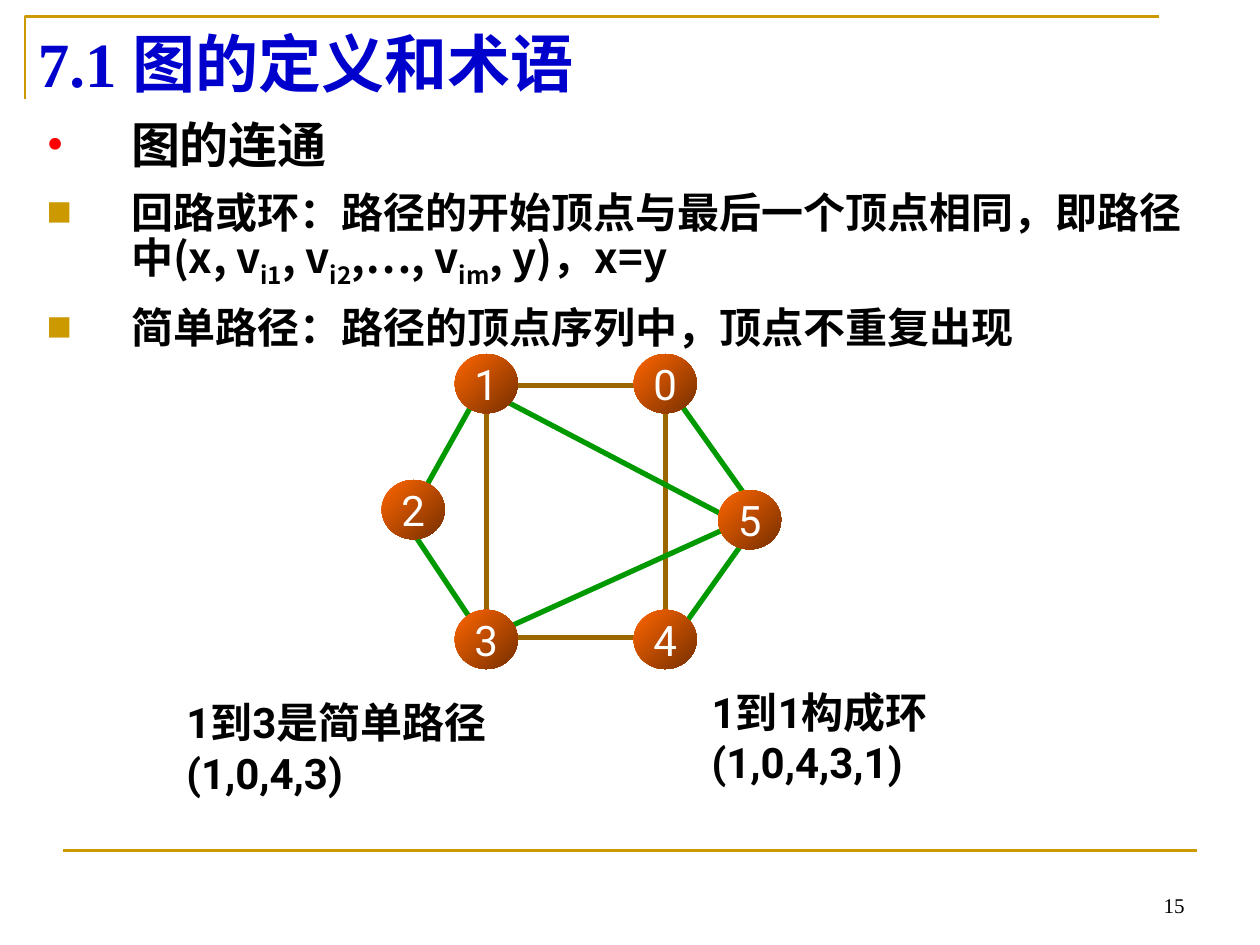
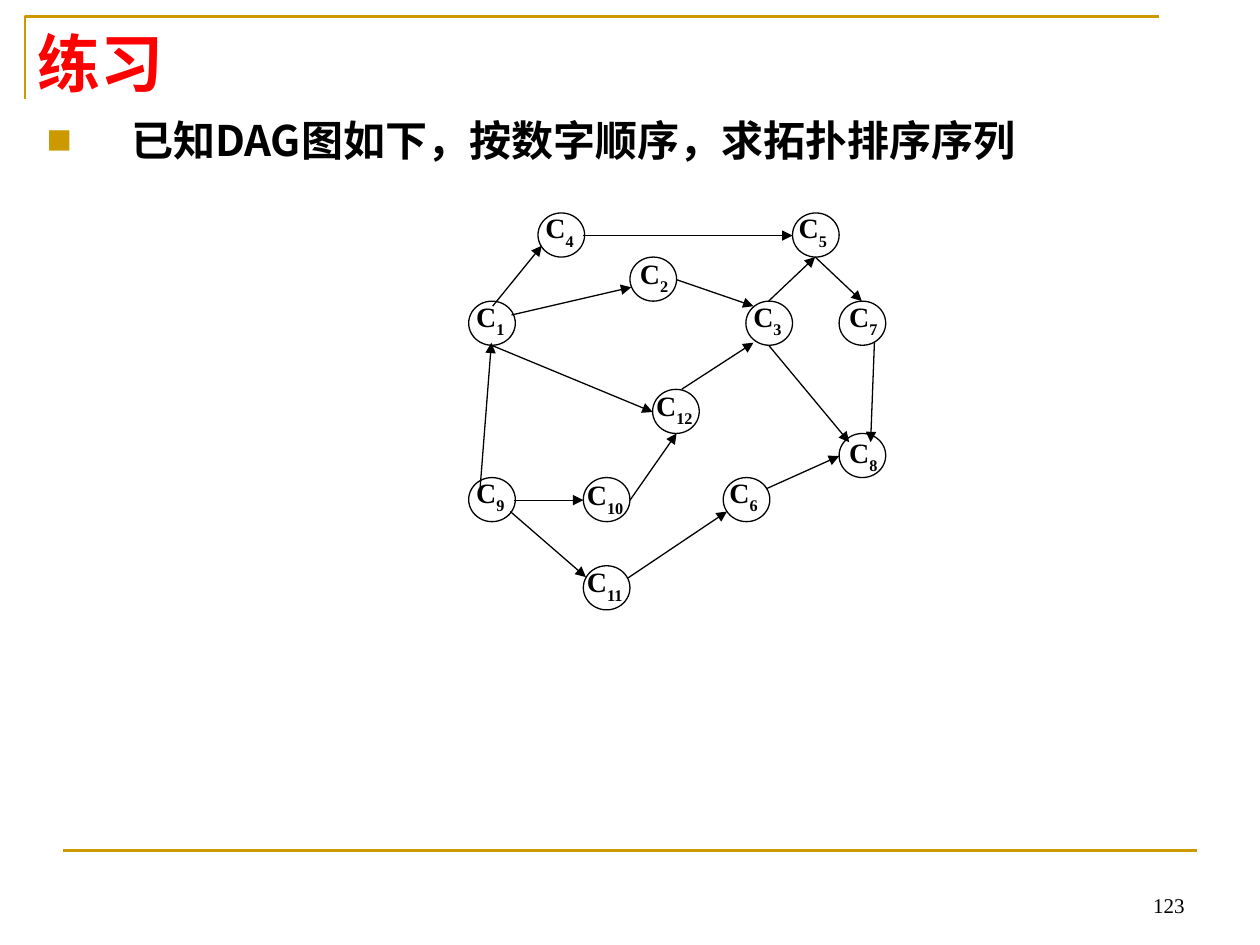
from lxml.etree import SubElement
from pptx import Presentation
from pptx.dml.color import RGBColor
from pptx.enum.shapes import MSO_CONNECTOR, MSO_SHAPE
from pptx.enum.text import MSO_ANCHOR as Anchor, MSO_AUTO_SIZE, PP_ALIGN as Align
from pptx.oxml.ns import qn
from pptx.util import Inches, Pt

GOLD = RGBColor(0xCC, 0x99, 0x00)
BLUE = RGBColor(0x00, 0x00, 0xCC)
RED = RGBColor(0xFF, 0x00, 0x00)
BLACK = RGBColor(0x00, 0x00, 0x00)
WHITE = RGBColor(0xFF, 0xFF, 0xFF)
BROWN = RGBColor(0x99, 0x66, 0x00)
GREEN = RGBColor(0x00, 0x99, 0x00)
ORANGE = RGBColor(0xFF, 0x66, 0x00)
RUST = RGBColor(0x76, 0x2F, 0x00)

SERIF, SANS, CHINESE = "Times New Roman", "Roboto", "Noto Sans CJK SC"
LINE_HEIGHT = 1.25  # times the font size
CAPTION_LINE_HEIGHT = 1.2
HANGING = Inches(0.67)

# A paragraph is a list of pieces; every second piece is a subscript.
# Bullet, bullet colour, size, pieces
CONNECTIVITY = [
    ("•", RED, 28, ["图的连通"]),
    ("■", GOLD, 24, ["回路或环：路径的开始顶点与最后一个顶点相同，即路径中(x, v", "i1",
                     ", v", "i2", ",…, v", "im", ", y)，x=y"]),
    ("■", GOLD, 24, ["简单路径：路径的顶点序列中，顶点不重复出现"]),
]
EXERCISE = [("■", GOLD, 24, ["已知DAG图如下，按数字顺序，求拓扑排序序列"])]

VERTEX_SIZE = (0.5, 0.47)
VERTICES = {"1": (3.61, 2.81), "3": (3.61, 4.84), "2": (3.03, 3.81),
            "5": (5.7, 3.89), "4": (5.03, 4.84), "0": (5.03, 2.81)}
CYCLE_EDGES = [
    (5.11, 3.06, 4.11, 3.06),
    (5.28, 3.23, 5.28, 4.9),
    (3.86, 4.98, 3.86, 3.23),
    (5.2, 5.06, 3.95, 5.06),
]
OTHER_EDGES = [
    (5.36, 3.15, 5.95, 3.98),
    (3.78, 3.15, 3.36, 3.9),
    (5.86, 4.15, 3.95, 3.15),
    (3.78, 4.98, 3.28, 4.23),
    (5.86, 4.15, 4.03, 4.98),
    (5.95, 4.23, 5.36, 5.06),
]
CAPTIONS = [
    ("1到1构成环(1,0,4,3,1)", (5.55, 5.4, 2, 1.3)),
    ("1到3是简单路径(1,0,4,3)", (1.38, 5.48, 2.75, 0.9)),
]

COURSE_SIZE = (0.37, 0.35)
# Number: circle left and top, label left and top
COURSES = {
    "4": (4.27, 1.69, 4.23, 1.62),
    "5": (6.29, 1.69, 6.24, 1.62),
    "1": (3.72, 2.39, 3.68, 2.32),
    "2": (5, 2.04, 4.98, 1.98),
    "3": (5.92, 2.39, 5.88, 2.32),
    "7": (6.66, 2.39, 6.64, 2.32),
    "12": (5.18, 3.09, 5.11, 3.03),
    "8": (6.66, 3.44, 6.64, 3.4),
    "6": (5.74, 3.79, 5.69, 3.72),
    "9": (3.72, 3.79, 3.68, 3.72),
    "10": (4.63, 3.79, 4.56, 3.74),
    "11": (4.63, 4.49, 4.56, 4.43),
}
ARROWS = [
    (6.1, 2.39, 6.47, 2.04),    # 3 to 5
    (6.47, 2.04, 6.84, 2.39),   # 5 to 7
    (5, 3.97, 5.37, 3.44),      # 10 to 12
    (3.9, 2.74, 5.18, 3.27),    # 1 to 12
    (4.08, 3.97, 4.63, 3.97),   # 9 to 10
    (4.05, 4.06, 4.65, 4.58),   # 9 to 11
    (4.98, 4.59, 5.77, 4.06),   # 11 to 6
    (5.37, 2.22, 5.98, 2.43),   # 2 to 3
    (6.08, 3.88, 6.66, 3.62),   # 6 to 8
    (6.94, 2.72, 6.91, 3.51),   # 7 to 8
    (4.06, 2.5, 5.01, 2.28),    # 1 to 2
    (4.63, 1.87, 6.29, 1.87),   # 4 to 5
    (3.91, 2.43, 4.3, 1.95),    # 1 to 4
    (5.41, 3.09, 5.98, 2.72),   # 12 to 3
    (6.1, 2.74, 6.74, 3.51),    # 3 to 8
    (3.81, 3.88, 3.9, 2.72),    # 9 to 1
]


def inches(*lengths):
    return [Inches(length) for length in lengths]


def move(shape, place):
    shape.left, shape.top, shape.width, shape.height = inches(*place)


def set_font(para, name, size, color, bold=False):
    """Set the paragraph's font, with the shared font for Chinese characters."""
    font = para.font
    font.name, font.size, font.bold = name, Pt(size), bold
    font.color.rgb = color
    SubElement(para._p.pPr.find(qn("a:defRPr")), qn("a:ea"), typeface=CHINESE)


def add_pieces(para, pieces, baseline):
    for index, piece in enumerate(pieces):
        span = para.add_run()
        span.text = piece
        if index % 2:
            span._r.get_or_add_rPr().set("baseline", str(baseline * 1000))


def add_bullet(para, mark, color):
    props = para._p.get_or_add_pPr()
    props.set("marL", str(HANGING))
    props.set("indent", str(-HANGING))
    bullet_color = SubElement(props, qn("a:buClr"))
    SubElement(bullet_color, qn("a:srgbClr"), val=str(color))
    SubElement(props, qn("a:buFont"), typeface=SERIF)
    SubElement(props, qn("a:buChar"), char=mark)


def add_line(page, ends, color, width, arrow=False):
    line = page.shapes.add_connector(MSO_CONNECTOR.STRAIGHT, *inches(*ends))
    line.line.color.rgb = color
    line.line.width = Pt(width)
    if arrow:
        SubElement(line.line._get_or_add_ln(), qn("a:tailEnd"), type="triangle")
    SubElement(line._element.spPr, qn("a:effectLst"))


def add_text(page, place, pieces, font, anchor=Anchor.TOP, align=Align.LEFT):
    box = page.shapes.add_textbox(*inches(*place))
    frame = box.text_frame
    frame.word_wrap = True
    frame.vertical_anchor = anchor
    para = frame.paragraphs[0]
    para.alignment = align
    add_pieces(para, pieces, -30)
    set_font(para, *font)
    return box


def add_circle(page, left, top, size):
    circle = page.shapes.add_shape(MSO_SHAPE.OVAL, *inches(left, top, *size))
    circle.shadow.inherit = False
    return circle


def add_page(deck, title, title_color, items, body_place, number):
    """Add a slide with gold rules, title, bulleted list and page number."""
    page = deck.slides.add_slide(deck.slide_layouts[1])

    builder = page.shapes.build_freeform(*inches(0.2, 0.79))
    builder.add_line_segments([inches(0.2, 0.13), inches(9.2, 0.13)], close=False)
    corner = builder.convert_to_shape()
    corner.fill.background()
    corner.line.color.rgb = GOLD
    corner.line.width = Pt(1.5)
    corner.shadow.inherit = False
    add_line(page, (0.5, 6.75, 9.5, 6.75), GOLD, 1.5)
    add_text(page, (7.17, 6.83, 2.33, 0.5), [number], (SERIF, 12, BLACK),
             Anchor.BOTTOM, Align.RIGHT)

    heading, body = page.shapes.title, page.placeholders[1]
    move(heading, (0.2, 0.13, 9, 0.71))
    move(body, body_place)
    for holder, anchor in ((heading, Anchor.MIDDLE), (body, Anchor.TOP)):
        holder.text_frame.auto_size = MSO_AUTO_SIZE.NONE
        holder.text_frame.vertical_anchor = anchor

    para = heading.text_frame.paragraphs[0]
    para.text = title
    para.alignment = Align.LEFT
    para.line_spacing = Pt(36 * LINE_HEIGHT)
    set_font(para, SERIF, 36, title_color, True)

    frame = body.text_frame
    for index, (mark, mark_color, size, pieces) in enumerate(items):
        para = frame.add_paragraph() if index else frame.paragraphs[0]
        add_bullet(para, mark, mark_color)
        para.space_before = Pt(6 if index else 0)
        para.line_spacing = Pt(size * LINE_HEIGHT)
        add_pieces(para, pieces, -25)
        set_font(para, CHINESE, size, BLACK, True)
    return page


def add_vertex(page, name, left, top):
    circle = add_circle(page, left, top, VERTEX_SIZE)
    circle.fill.gradient()
    circle.fill.gradient_angle = 315
    for stop, color in zip(circle.fill.gradient_stops, (ORANGE, RUST)):
        stop.color.rgb = color
    circle.line.fill.background()
    frame = circle.text_frame
    frame.margin_left = frame.margin_right = 0
    frame.word_wrap = False
    frame.vertical_anchor = Anchor.MIDDLE
    para = frame.paragraphs[0]
    para.text = name
    para.alignment = Align.CENTER
    set_font(para, SANS, 24, WHITE)


def add_connectivity_page(deck):
    page = add_page(deck, "7.1 图的定义和术语", BLUE, CONNECTIVITY,
                    (0.27, 0.84, 9.45, 3.23), "15")
    for color, edges in ((BROWN, CYCLE_EDGES), (GREEN, OTHER_EDGES)):
        for ends in edges:
            add_line(page, ends, color, 3)
    for name, (left, top) in VERTICES.items():
        add_vertex(page, name, left, top)
    for caption, place in CAPTIONS:
        box = add_text(page, place, [caption], (SANS, 24, BLACK, True))
        box.text_frame.paragraphs[0].line_spacing = Pt(24 * CAPTION_LINE_HEIGHT)


def add_exercise_page(deck):
    page = add_page(deck, "练习", RED, EXERCISE, (0.27, 0.84, 9.06, 4.57), "123")
    for left, top, _, _ in COURSES.values():
        circle = add_circle(page, left, top, COURSE_SIZE)
        circle.fill.solid()
        circle.fill.fore_color.rgb = WHITE
        circle.line.color.rgb = BLACK
        circle.line.width = Pt(0.75)
    for ends in ARROWS:
        add_line(page, ends, BLACK, 0.75, arrow=True)
    for number, (_, _, left, top) in COURSES.items():
        width = 0.42 if len(number) == 1 else 0.49
        label = add_text(page, (left, top, width, 0.42), ["C", number],
                         (SERIF, 16, BLACK, True), Anchor.MIDDLE)
        label.text_frame.margin_right = 0  # keeps letter and number on one line


def main():
    deck = Presentation()
    deck.slide_width, deck.slide_height = inches(10, 7.5)
    add_connectivity_page(deck)
    add_exercise_page(deck)
    deck.save("out.pptx")


if __name__ == "__main__":
    main()
